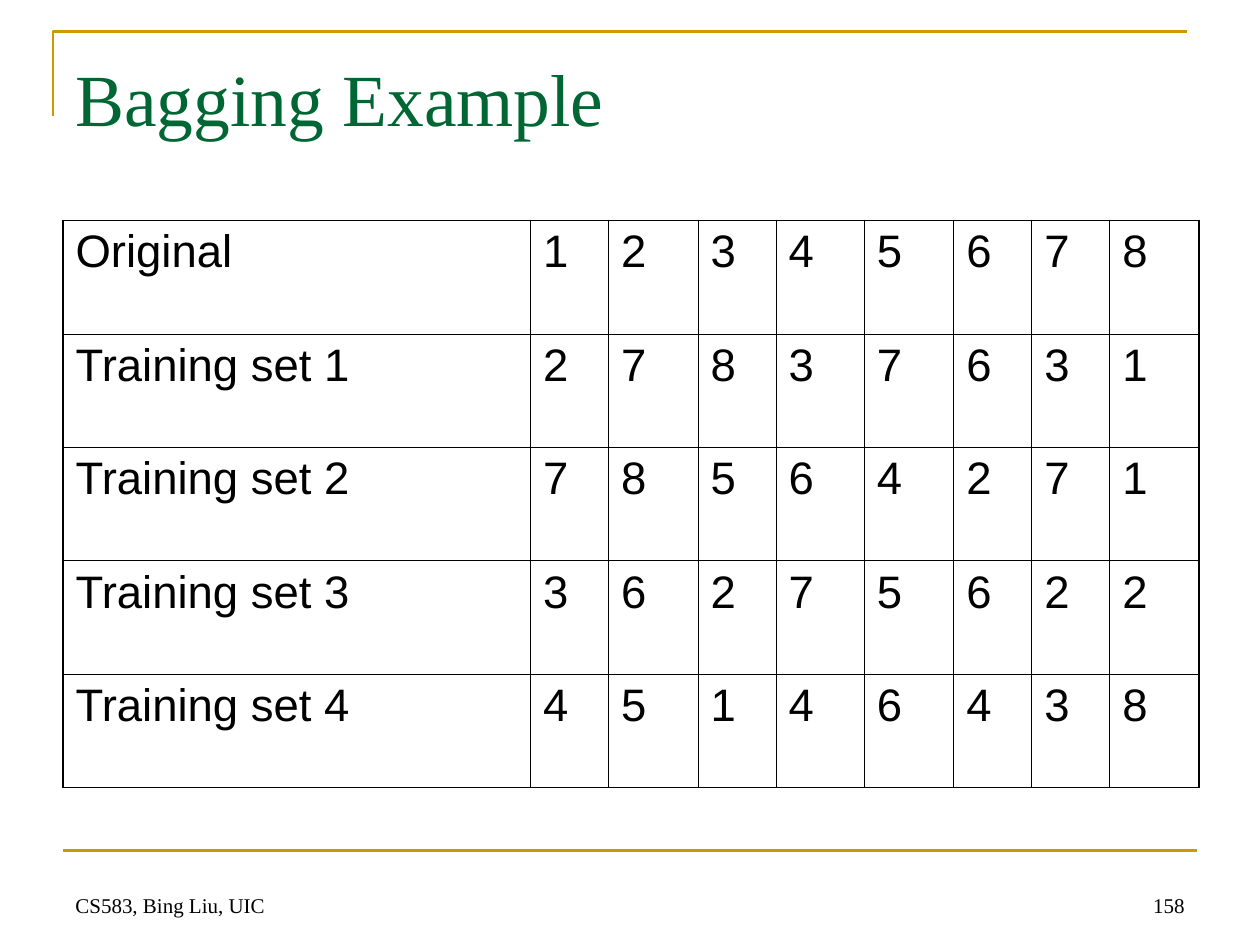
from lxml import etree
from pptx import Presentation
from pptx.dml.color import RGBColor
from pptx.enum import shapes, text
from pptx.oxml import ns
from pptx.util import Inches, Pt

GOLD = RGBColor(0xCC, 0x99, 0x00)
GREEN = RGBColor(0x00, 0x66, 0x33)
BLACK = RGBColor(0x00, 0x00, 0x00)
SERIF, SANS = "Times New Roman", "Arial"
TOP, BOTTOM = text.MSO_ANCHOR.TOP, text.MSO_ANCHOR.BOTTOM
LEFT, RIGHT = text.PP_ALIGN.LEFT, text.PP_ALIGN.RIGHT

LABELS = [
    ("CS583, Bing Liu, UIC", (0.5, 6.83, 6.08, 0.5), 12, BLACK, LEFT, BOTTOM, 0.05),
    ("158", (7.17, 6.83, 2.33, 0.5), 12, BLACK, RIGHT, BOTTOM, 0.05),
    ("Bagging Example", (0.5, 0.3, 9, 1.04), 42, GREEN, LEFT, TOP, 0.12),
]
SAMPLES = [
    ("Original", (1, 2, 3, 4, 5, 6, 7, 8)),
    ("Training set 1", (2, 7, 8, 3, 7, 6, 3, 1)),
    ("Training set 2", (7, 8, 5, 6, 4, 2, 7, 1)),
    ("Training set 3", (3, 6, 2, 7, 5, 6, 2, 2)),
    ("Training set 4", (4, 5, 1, 4, 6, 4, 3, 8)),
]
COLUMN_WIDTHS = (3.71, 0.62, 0.71, 0.62, 0.7, 0.71, 0.62, 0.62, 0.71)
ROW_HEIGHT = 0.9
INNER, OUTER = 0.45, 1.08


def style_run(paragraph, size, font_name, color):
    font = paragraph.runs[0].font
    font.size, font.name = Pt(size), font_name
    font.color.rgb = color


def add_frame(slide):
    builder = slide.shapes.build_freeform(Inches(0.42), Inches(0.92))
    builder.add_line_segments(
        [(Inches(0.42), Inches(0.25)), (Inches(9.42), Inches(0.25))], close=False
    )
    corner = builder.convert_to_shape()
    corner.fill.background()
    corner.shadow.inherit = False
    rule = slide.shapes.add_connector(
        shapes.MSO_CONNECTOR.STRAIGHT,
        Inches(0.5), Inches(6.75), Inches(9.5), Inches(6.75),
    )
    etree.SubElement(rule._element.spPr, ns.qn("a:effectLst"))
    for part in (corner, rule):
        part.line.color.rgb = GOLD
        part.line.width = Pt(1.5)


def add_label(slide, words, place, size, color, align, anchor, top_inset):
    frame = slide.shapes.add_textbox(*map(Inches, place)).text_frame
    frame.word_wrap = True
    frame.vertical_anchor = anchor
    frame.margin_top = Inches(top_inset)
    frame.text = words
    frame.paragraphs[0].alignment = align
    style_run(frame.paragraphs[0], size, SERIF, color)


def set_border(cell, side, width):
    properties = cell._tc.get_or_add_tcPr()
    border = etree.SubElement(properties, ns.qn(f"a:ln{side}"), w=str(Pt(width)))
    fill = etree.SubElement(border, ns.qn("a:solidFill"))
    etree.SubElement(fill, ns.qn("a:srgbClr"), val=str(BLACK))


def add_samples(slide):
    rows, columns = len(SAMPLES), len(COLUMN_WIDTHS)
    table = slide.shapes.add_table(
        rows, columns, Inches(0.5), Inches(1.75),
        Inches(sum(COLUMN_WIDTHS)), Inches(rows * ROW_HEIGHT),
    ).table
    table.first_row = table.horz_banding = False
    for column, width in zip(table.columns, COLUMN_WIDTHS):
        column.width = Inches(width)
    for r, (name, draws) in enumerate(SAMPLES):
        table.rows[r].height = Inches(ROW_HEIGHT)
        for c, value in enumerate((name, *draws)):
            cell = table.cell(r, c)
            cell.text_frame.text = str(value)
            paragraph = cell.text_frame.paragraphs[0]
            paragraph.space_before = Pt(6.5)
            style_run(paragraph, 26, SANS, BLACK)
            edges = {"L": c == 0, "R": c == columns - 1, "T": r == 0, "B": r == rows - 1}
            for side, is_outer in edges.items():
                set_border(cell, side, OUTER if is_outer else INNER)
            cell.fill.background()


def main():
    deck = Presentation()
    deck.slide_width, deck.slide_height = Inches(10), Inches(7.5)
    slide = deck.slides.add_slide(deck.slide_layouts[6])
    add_frame(slide)
    for label in LABELS:
        add_label(slide, *label)
    add_samples(slide)
    deck.save("out.pptx")


if __name__ == "__main__":
    main()
